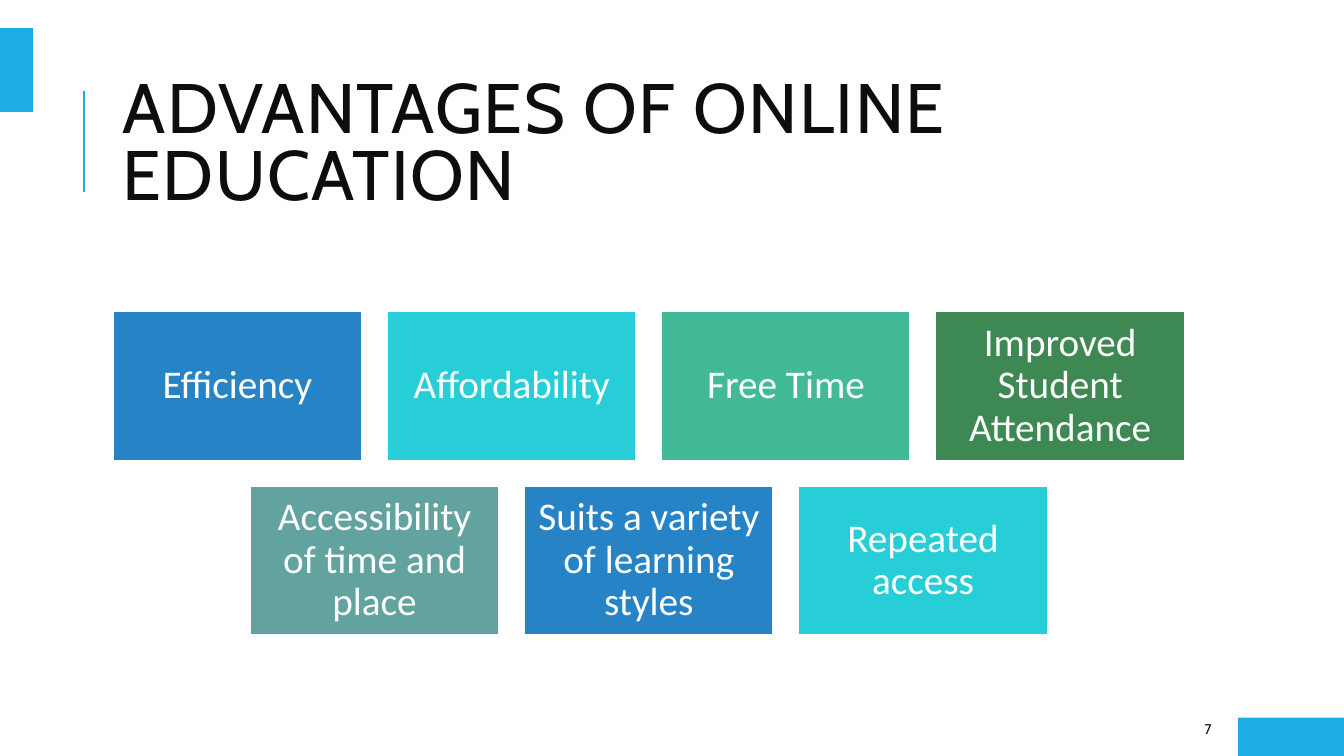
from dataclasses import dataclass

from lxml.etree import SubElement
from pptx import Presentation
from pptx.dml.color import RGBColor
from pptx.enum.shapes import MSO_CONNECTOR, MSO_SHAPE
from pptx.enum.text import MSO_ANCHOR, PP_ALIGN
from pptx.oxml.ns import qn
from pptx.util import Inches, Pt


@dataclass(frozen=True)
class Theme:
    sky: str = "1CADE4"
    ink: str = "0D0D0D"
    white: str = "FFFFFF"
    tiles: tuple = ("2683C6", "27CED7", "42BA97", "3E8853", "62A39F")
    head: str = "Cabin"
    body: str = "Calibri"
    big: int = 50
    mid: int = 28
    small: int = 10


THEME = Theme()
WIDE, HIGH = 13.33, 7.5
ROWS = (
    ("Efficiency", "Affordability", "Free Time", "Improved Student Attendance"),
    ("Accessibility of time and place", "Suits a variety of learning styles",
     "Repeated access"),
)


def tint(hue):
    return RGBColor.from_string(hue)


def add_rect(slide, box, hue, edge=None):
    rect = slide.shapes.add_shape(MSO_SHAPE.RECTANGLE, *map(Inches, box))
    rect.shadow.inherit = False
    rect.fill.solid()
    rect.fill.fore_color.rgb = tint(hue)
    if edge:
        rect.line.color.rgb = tint(edge)
        rect.line.width = Pt(1.25)
    else:
        rect.line.fill.background()
    return rect


def add_text(shape, words, font, size, hue, align=PP_ALIGN.LEFT, space=1.0):
    frame = shape.text_frame
    frame.word_wrap = True
    frame.vertical_anchor = MSO_ANCHOR.MIDDLE
    para = frame.paragraphs[0]
    para.alignment = align
    para.line_spacing = space
    run = para.add_run()
    run.text = words
    run.font.name = font
    run.font.size = Pt(size)
    run.font.color.rgb = tint(hue)
    return run


def add_frame(slide, wide, high):
    # Corner blocks: right foot and left head
    foot_w, foot_h = 1.05, 0.38
    add_rect(slide, (wide - foot_w, high - foot_h, foot_w, foot_h), THEME.sky)
    add_rect(slide, (0, 0.28, 0.33, 0.83), THEME.sky)


def add_title(slide, box, words):
    left, top, _, high = box
    # Upright rule beside the title
    x, mid = left - 0.29, top + high / 2 - 0.06
    rule = slide.shapes.add_connector(
        MSO_CONNECTOR.STRAIGHT,
        *map(Inches, (x, mid + 0.5, x, mid - 0.5)))
    rule.line.color.rgb = tint(THEME.sky)
    rule.line.width = Pt(1.5)
    SubElement(rule.element.spPr, qn("a:effectLst"))
    # Title words
    text = slide.shapes.add_textbox(*map(Inches, box))
    run = add_text(text, words, THEME.head, THEME.big, THEME.ink, space=0.8)
    run.font._element.set("spc", "100")


def add_tiles(slide, box, rows):
    left, top, wide, high = box
    gap = 0.25
    most = max(map(len, rows))
    tile_w = (wide - gap * (most - 1)) / most
    tile_h = (high - gap * (len(rows) - 1)) / len(rows)
    count = 0
    for level, row in enumerate(rows):
        # Short rows are centred in the box
        start = left + (most - len(row)) * (tile_w + gap) / 2
        y = top + level * (tile_h + gap)
        for col, words in enumerate(row):
            place = (start + col * (tile_w + gap), y, tile_w, tile_h)
            hue = THEME.tiles[count % len(THEME.tiles)]
            tile = add_rect(slide, place, hue, THEME.white)
            frame = tile.text_frame
            frame.margin_left = frame.margin_right = Inches(0.12)
            frame.margin_top = frame.margin_bottom = Inches(0.12)
            add_text(tile, words, THEME.body, THEME.mid, THEME.white,
                     PP_ALIGN.CENTER, 0.9)
            count += 1


def add_number(slide, box, words):
    text = slide.shapes.add_textbox(*map(Inches, box))
    add_text(text, words, THEME.head, THEME.small, THEME.ink)


def main():
    deck = Presentation()
    deck.slide_width, deck.slide_height = Inches(WIDE), Inches(HIGH)
    slide = deck.slides.add_slide(deck.slide_layouts[6])
    add_frame(slide, WIDE, HIGH)
    add_title(slide, (1.12, 0.64, 10.63, 1.64), "ADVANTAGES OF ONLINE EDUCATION")
    add_tiles(slide, (1.12, 3.09, 10.63, 3.21), ROWS)
    add_number(slide, (11.85, 7.08, 1.06, 0.3), "7")
    deck.save("out.pptx")


if __name__ == "__main__":
    main()
